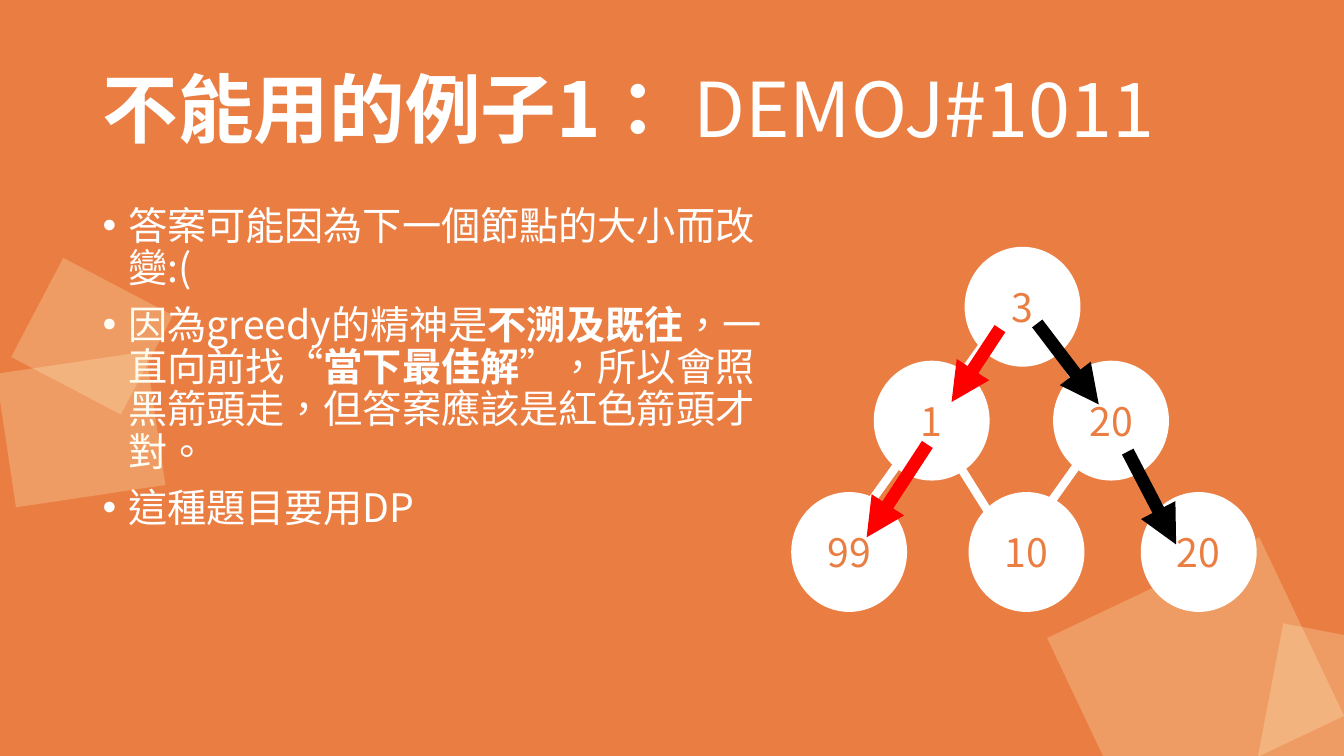
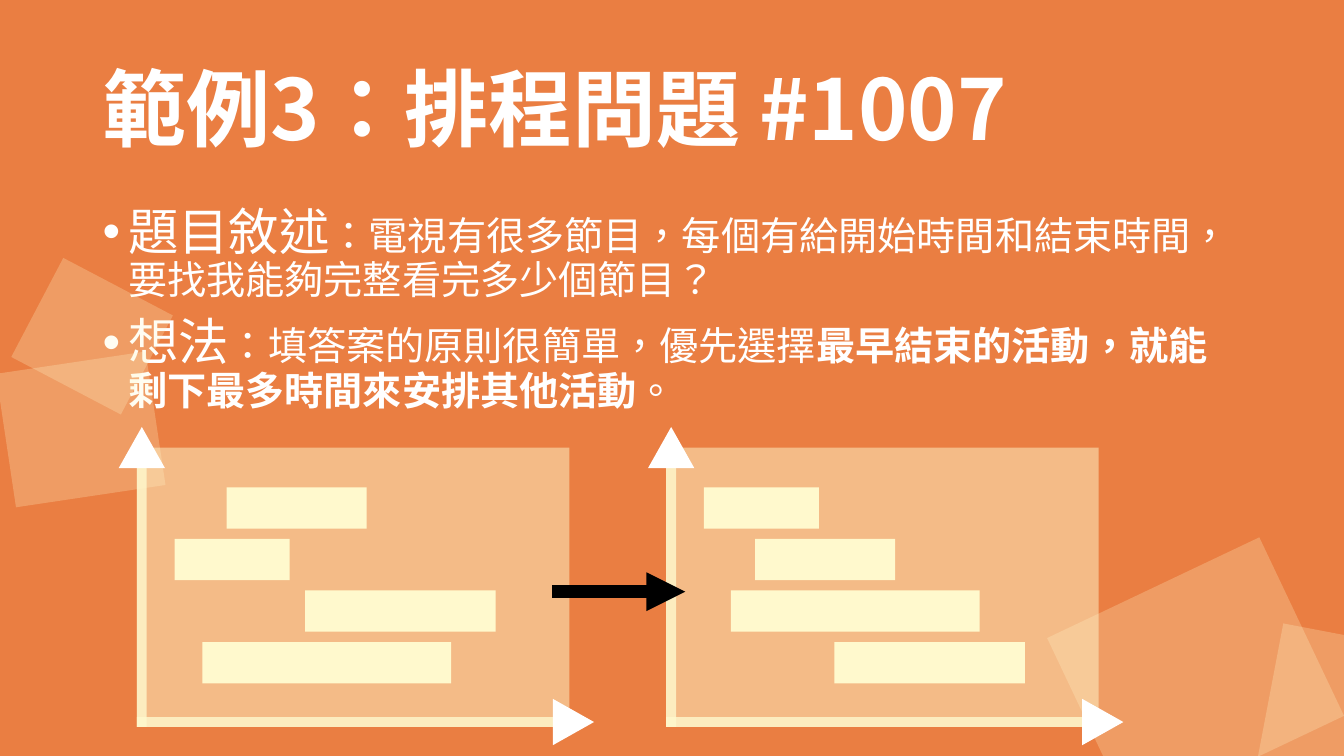
from dataclasses import dataclass

from lxml.etree import SubElement
from pptx import Presentation
from pptx.dml.color import RGBColor
from pptx.enum.shapes import MSO_CONNECTOR, MSO_SHAPE
from pptx.enum.text import MSO_ANCHOR, PP_ALIGN
from pptx.oxml.ns import qn
from pptx.util import Cm, Pt


@dataclass(frozen=True)
class Theme:
    font: str = "Noto Sans CJK SC"
    orange: str = "EA7E42"
    cream: str = "FFF9CD"
    white: str = "FFFFFF"
    black: str = "000000"
    red: str = "FF0000"
    title_size: float = 60
    long_title_size: float = 54
    lead_size: float = 36
    body_size: float = 28
    edge_width: float = 6
    arrow_width: float = 9.25
    square_alpha: int = 25
    panel_alpha: int = 50
    axis_alpha: int = 80


THEME = Theme()

# Content: a run is (text, size, bold); all lengths are in centimetres
BODY = THEME.body_size
TREE_TITLE = [("不能用的例子1：", THEME.long_title_size, True),
              (" DEMOJ#1011", THEME.long_title_size, False)]
TREE_BODY = [
    [("答案可能因為下一個節點的大小而改變:(", BODY, False)],
    [("因為greedy的精神是", BODY, False),
     ("不溯及既往", BODY, True),
     ("，一直向前找“", BODY, False),
     ("當下最佳解", BODY, True),
     ("”，所以會照黑箭頭走，但答案應該是紅色箭頭才對。", BODY, False)],
    [("這種題目要用DP", BODY, False)],
]
SCHEDULE_TITLE = [("範例3：排程問題 #1007", THEME.title_size, True)]
SCHEDULE_BODY = [
    [("題目敘述", THEME.lead_size, False),
     ("：電視有很多節目，每個有給開始時間和結束時間，要找我能夠完整看完多少個節目？", BODY, False)],
    [("想法", THEME.lead_size, False),
     ("：填答案的原則很簡單，優先選擇", BODY, False),
     ("最早結束的活動，就能剩下最多時間來安排其他活動", BODY, True),
     ("。", BODY, False)],
]

# Tree: rows of (top, [(left, label)]), then lines as (start, end)
NODE_SIZE = (2.92, 3.02)
NODE_ROWS = [
    (6.22, [(24.31, "3")]),
    (9.09, [(22.02, "1"), (26.54, "20")]),
    (12.4, [(19.94, "99"), (24.41, "10"), (28.75, "20")]),
]
TREE_EDGES = [
    ((25.53, 13.89), (24.13, 11.66)),
    ((29.59, 13.34), (26.39, 8.46)),
    ((20.78, 14.27), (25.4, 7.82)),
    ((25.81, 13.59), (27.33, 11.46)),
]
TREE_ARROWS = {
    THEME.black: [((26.14, 8.15), (27.69, 10.19)), ((28.42, 11.38), (29.64, 13.72))],
    THEME.red: [((25.2, 8.28), (23.98, 10.13)), ((23.37, 11.2), (21.84, 13.54))],
}

# Schedules: panel left edge and one (start, length) bar per row
SCHEDULES = [
    (3.45, [(2.26, 3.53), (0.95, 2.9), (4.24, 4.8), (1.65, 6.27)]),
    (16.79, [(0.95, 2.9), (2.24, 3.53), (1.63, 6.27), (4.24, 4.8)]),
]
SCHEDULE_ARROW = ((13.92, 14.91), (17.27, 14.91))
PANEL_TOP, PANEL_WIDTH, PANEL_HEIGHT = 11.28, 10.9, 7.04
AXIS = 0.25
BAR_HEIGHT, FIRST_BAR, BAR_PITCH = 1.04, 1.0, 1.3
HEAD_WIDTH, HEAD_HEIGHT = 1.17, 1.04

# Shared frame: left, top, width, height (and rotation)
SLIDE_SIZE = (33.87, 19.05)
TITLE_BOX = (2.34, 1.02, 29.21, 3.68)
NARROW_BODY = (2.34, 5.08, 17.48, 12.09)
WIDE_BODY = (2.34, 5.08, 29.21, 12.09)
SQUARES = [
    (0.13, 9.12, 3.81, 3.4, 171.5),
    (0.76, 7.06, 3.12, 2.82, 207.7),
    (27.64, 14.1, 4.98, 5.92, 64.6),
    (32.11, 15.9, 3.58, 3.86, 100.8),
]

TITLE_FORMAT = {"line_spacing": 0.9}
BULLET_FORMAT = {"line_spacing": 0.9, "space_before": Pt(10)}
NODE_FORMAT = {"alignment": PP_ALIGN.CENTER}


def set_all(target, values):
    for name, value in values.items():
        setattr(target, name, value)


# Text
def add_runs(para, runs, color):
    for text, size, bold in runs:
        span = para.add_run()
        span.text = text
        set_all(span.font, {"size": Pt(size), "bold": bold, "name": THEME.font})
        span.font.color.rgb = RGBColor.from_string(color)
        properties = span.font._element
        properties.set("lang", "zh-TW")
        SubElement(properties, qn("a:ea"), typeface=THEME.font)


def add_bullet(para):
    properties = para._p.get_or_add_pPr()
    indent = Cm(0.64)
    properties.set("marL", str(indent))
    properties.set("indent", str(-indent))
    SubElement(properties, qn("a:buFont"), typeface="Arial")
    SubElement(properties, qn("a:buChar"), char="•")


def add_text(page, area, paragraphs, para_format, anchor, bullets=False):
    frame = page.shapes.add_textbox(*map(Cm, area)).text_frame
    set_all(frame, {"word_wrap": True, "vertical_anchor": anchor})
    for index, runs in enumerate(paragraphs):
        para = frame.paragraphs[0] if index == 0 else frame.add_paragraph()
        set_all(para, para_format)
        if bullets:
            add_bullet(para)
        add_runs(para, runs, THEME.white)


# Shapes and lines
def add_solid(page, kind, area, color, alpha=100, rotation=0):
    shape = page.shapes.add_shape(kind, *map(Cm, area))
    shape.rotation = rotation
    shape.shadow.inherit = False
    shape.fill.solid()
    shape.fill.fore_color.rgb = RGBColor.from_string(color)
    shape.line.fill.background()
    if alpha < 100:
        color_node = shape._element.spPr.find(qn("a:solidFill"))[0]
        SubElement(color_node, qn("a:alpha"), val=str(alpha * 1000))
    return shape


def add_line(page, start, end, color, width, arrow=False):
    line = page.shapes.add_connector(MSO_CONNECTOR.STRAIGHT, *map(Cm, start + end))
    line.line.width = Pt(width)
    line.line.color.rgb = RGBColor.from_string(color)
    if arrow:
        SubElement(line.line._get_or_add_ln(), qn("a:tailEnd"), type="triangle")
    SubElement(line._element.spPr, qn("a:effectLst"))


# Slide parts
def add_page(deck):
    page = deck.slides.add_slide(deck.slide_layouts[6])
    page.background.fill.solid()
    page.background.fill.fore_color.rgb = RGBColor.from_string(THEME.orange)
    return page


def add_frame(page, title, body, body_area):
    add_text(page, body_area, body, BULLET_FORMAT, MSO_ANCHOR.TOP, bullets=True)
    add_text(page, TITLE_BOX, [title], TITLE_FORMAT, MSO_ANCHOR.MIDDLE)
    for *area, rotation in SQUARES:
        add_solid(page, MSO_SHAPE.RECTANGLE, area, THEME.cream,
                  THEME.square_alpha, rotation)


def add_node(page, left, top, label):
    node = add_solid(page, MSO_SHAPE.OVAL, (left, top, *NODE_SIZE), THEME.white)
    node.text_frame.vertical_anchor = MSO_ANCHOR.MIDDLE
    para = node.text_frame.paragraphs[0]
    set_all(para, NODE_FORMAT)
    add_runs(para, [(label, BODY, False)], THEME.orange)


def add_schedule(page, left, bars):
    bottom = PANEL_TOP + PANEL_HEIGHT
    panel = (left, PANEL_TOP, PANEL_WIDTH, PANEL_HEIGHT)
    add_solid(page, MSO_SHAPE.RECTANGLE, panel, THEME.cream, THEME.panel_alpha)
    for axis in ((left, PANEL_TOP, AXIS, PANEL_HEIGHT),
                 (left, bottom - AXIS, PANEL_WIDTH, AXIS)):
        add_solid(page, MSO_SHAPE.RECTANGLE, axis, THEME.cream, THEME.axis_alpha)
    for row, (start, length) in enumerate(bars):
        top = PANEL_TOP + FIRST_BAR + row * BAR_PITCH
        add_solid(page, MSO_SHAPE.RECTANGLE,
                  (left + start, top, length, BAR_HEIGHT), THEME.cream)
    # Axis heads, centred on the axis ends
    for x, y, rotation in ((left + AXIS / 2, PANEL_TOP, 0),
                           (left + PANEL_WIDTH + 0.1, bottom - AXIS / 2, 90)):
        add_solid(page, MSO_SHAPE.ISOSCELES_TRIANGLE,
                  (x - HEAD_WIDTH / 2, y - HEAD_HEIGHT / 2, HEAD_WIDTH, HEAD_HEIGHT),
                  THEME.white, rotation=rotation)


# Slides
def build_tree_page(deck):
    page = add_page(deck)
    for start, end in TREE_EDGES:
        add_line(page, start, end, THEME.white, THEME.edge_width)
    add_frame(page, TREE_TITLE, TREE_BODY, NARROW_BODY)
    for top, nodes in NODE_ROWS:
        for left, label in nodes:
            add_node(page, left, top, label)
    for color, arrows in TREE_ARROWS.items():
        for start, end in arrows:
            add_line(page, start, end, color, THEME.arrow_width, arrow=True)


def build_schedule_page(deck):
    page = add_page(deck)
    add_frame(page, SCHEDULE_TITLE, SCHEDULE_BODY, WIDE_BODY)
    for left, bars in SCHEDULES:
        add_schedule(page, left, bars)
    add_line(page, *SCHEDULE_ARROW, THEME.black, THEME.arrow_width, arrow=True)


def main():
    deck = Presentation()
    deck.slide_width, deck.slide_height = map(Cm, SLIDE_SIZE)
    build_tree_page(deck)
    build_schedule_page(deck)
    deck.save("out.pptx")


if __name__ == "__main__":
    main()
